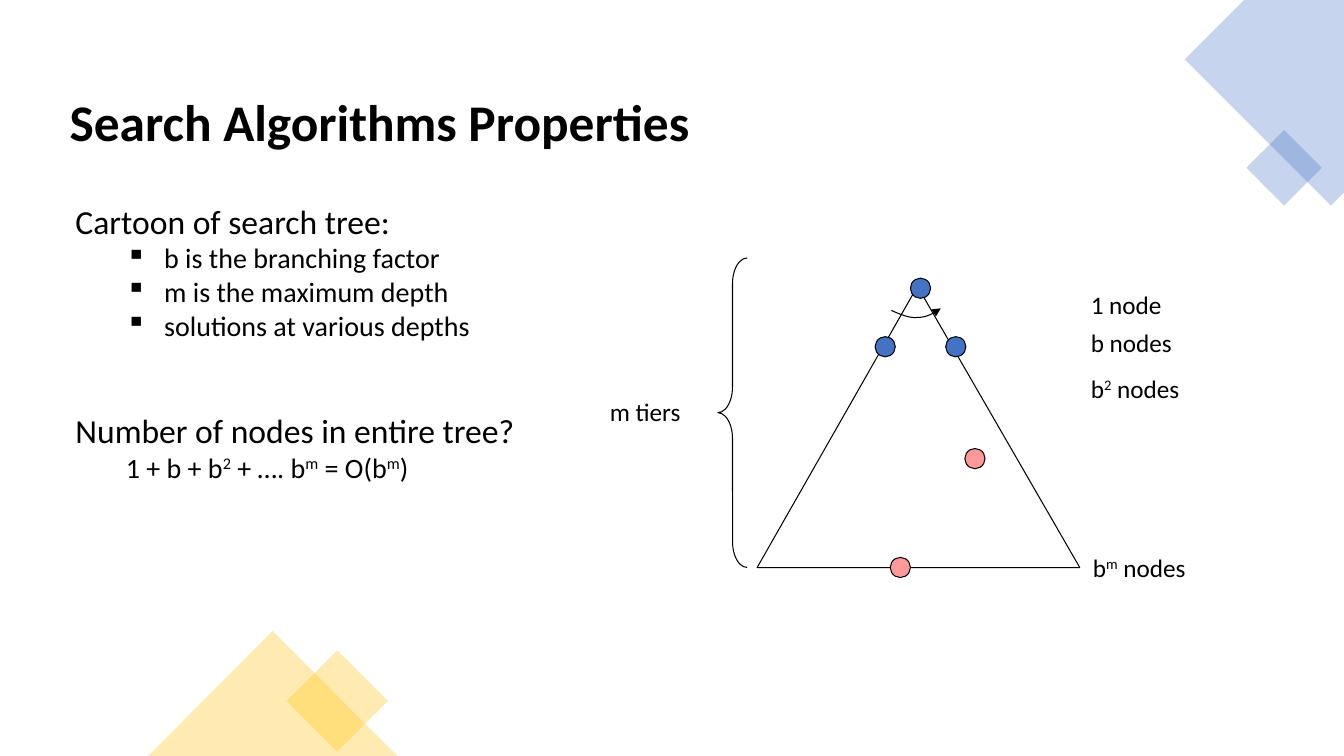
"""Build a slide on search tree properties with a labelled tree diagram."""
from lxml.etree import SubElement
from pptx import Presentation
from pptx.dml.color import RGBColor
from pptx.enum.shapes import MSO_SHAPE
from pptx.enum.text import MSO_ANCHOR, MSO_AUTO_SIZE, PP_ALIGN
from pptx.oxml.ns import qn
from pptx.util import Inches, Pt

BLACK, BLUE, GOLD, PINK = "000000", "4472C4", "FFC000", "FF9999"
FONT = "Calibri"
TITLE = "Search Algorithms Properties"
# Text between carets is superscript: (text, size, left margin, bullet, space before)
BODY = [
    ("Cartoon of search tree:", 24, 0, "", 0),
    ("b is the branching factor", 20, 0.88, "▪", 0),
    ("m is the maximum depth", 20, 0.88, "▪", 0),
    ("solutions at various depths", 20, 0.88, "▪", 0),
    ("Number of nodes in entire tree?", 24, 0, "", 48.8),
    ("1 + b + b^2^ + …. b^m^ = O(b^m^)", 20, 0.5, "", 0),
]
LABELS = [
    ("1 node", 10.72, 2.82, 1.22),
    ("b nodes", 10.72, 3.2, 1.22),
    ("b^2^ nodes", 10.72, 3.65, 1.22),
    ("b^m^ nodes", 10.74, 5.43, 1.6),
    ("m tiers", 5.95, 3.88, 1.38),
]
DECORATIONS = [
    (MSO_SHAPE.RECTANGLE, (12.47, 1.4, 0.53, 0.53), BLUE, 45),
    (MSO_SHAPE.RECTANGLE, (2.99, 6.6, 0.71, 0.71), GOLD, 45),
    (MSO_SHAPE.ISOSCELES_TRIANGLE, (1.47, 6.26, 2.47, 1.24), GOLD, 0),
]
CORNER = [(13.33, 0), (12.34, 0), (11.75, 0.59), (13.2, 2.04), (13.33, 1.91)]
TREE = [(7.51, 5.63), (10.71, 5.63), (9.1, 2.84)]
BRACE = (7.12, 2.56, 0.29, 3.07)
ARC = [
    [(8.84, 3.08), (8.93, 3.12), (9.02, 3.16), (9.1, 3.15)],
    [(9.1, 3.15), (9.19, 3.15), (9.26, 3.11), (9.33, 3.06)],
]
ARC_STEPS = 8
NODE_SIZE = 0.2
NODES = [(9.03, 2.76, BLUE), (9.38, 3.34, BLUE), (8.68, 3.34, BLUE),
         (8.83, 5.53, PINK), (9.57, 4.45, PINK)]


def color(value):
    return RGBColor.from_string(value)


def paint(shape, fill=None, line=None, alpha=None):
    shape.shadow.inherit = False
    if fill:
        shape.fill.solid()
        shape.fill.fore_color.rgb = color(fill)
    else:
        shape.fill.background()
    if alpha:
        color_element = next(shape._element.spPr.iter(qn("a:srgbClr")))
        SubElement(color_element, qn("a:alpha"), val=str(alpha * 1000))
    if line:
        shape.line.color.rgb = color(line)
        shape.line.width = Pt(0.75)
    else:
        shape.line.fill.background()


def add_preset(slide, kind, box, **style):
    shape = slide.shapes.add_shape(kind, *map(Inches, box))
    paint(shape, **style)
    return shape


def add_outline(slide, points, close=True, **style):
    builder = slide.shapes.build_freeform(
        Inches(points[0][0]), Inches(points[0][1]))
    builder.add_line_segments(
        [(Inches(x), Inches(y)) for x, y in points[1:]], close=close)
    shape = builder.convert_to_shape()
    paint(shape, **style)
    return shape


def curve_point(controls, t):
    weights = ((1 - t) ** 3, 3 * t * (1 - t) ** 2, 3 * t * t * (1 - t), t ** 3)
    return tuple(sum(weight * point[axis] for weight, point in zip(weights, controls))
                 for axis in (0, 1))


def write(paragraph, text, size, bold=False):
    for index, part in enumerate(text.split("^")):
        if part:
            run = paragraph.add_run()
            run.text = part
            if index % 2:
                run._r.get_or_add_rPr().set("baseline", "30000")
    paragraph.font.name = FONT
    paragraph.font.size = Pt(size)
    paragraph.font.bold = bold
    paragraph.font.color.rgb = color(BLACK)


def add_text_frame(slide, box):
    frame = slide.shapes.add_textbox(*map(Inches, box)).text_frame
    frame.word_wrap = True
    return frame


def add_title(slide):
    title = slide.shapes.title
    title.left, title.top, title.width, title.height = map(
        Inches, (0.59, 0.84, 11.46, 0.72))
    frame = title.text_frame
    frame.vertical_anchor = MSO_ANCHOR.TOP
    frame.auto_size = MSO_AUTO_SIZE.NONE
    paragraph = frame.paragraphs[0]
    paragraph.alignment = PP_ALIGN.LEFT
    write(paragraph, TITLE, 36.7, bold=True)


def add_body(slide):
    frame = add_text_frame(slide, (0.65, 1.94, 10.84, 2.93))
    for index, (text, size, margin, bullet, space) in enumerate(BODY):
        paragraph = frame.add_paragraph() if index else frame.paragraphs[0]
        properties = paragraph._p.get_or_add_pPr()
        properties.set("marL", str(Inches(margin)))
        if bullet:
            properties.set("indent", str(Inches(-0.38)))
            SubElement(properties, qn("a:buChar"), char=bullet)
        if space:
            paragraph.space_before = Pt(space)
        write(paragraph, text, size)


def add_diagram(slide):
    add_outline(slide, TREE, line=BLACK)
    brace = add_preset(slide, MSO_SHAPE.LEFT_BRACE, BRACE, line=BLACK)
    brace.adjustments[0] = 0.884
    arc_points = [ARC[0][0]] + [curve_point(controls, step / ARC_STEPS)
                                for controls in ARC
                                for step in range(1, ARC_STEPS + 1)]
    arc = add_outline(slide, arc_points, close=False, line=BLACK)
    SubElement(arc.line._get_or_add_ln(), qn("a:tailEnd"), type="triangle")
    for left, top, fill in NODES:
        add_preset(slide, MSO_SHAPE.OVAL, (left, top, NODE_SIZE, NODE_SIZE),
                   fill=fill, line=BLACK)
    for text, left, top, width in LABELS:
        frame = add_text_frame(slide, (left, top, width, 0.4))
        write(frame.paragraphs[0], text, 18)


def main():
    presentation = Presentation()
    presentation.slide_width, presentation.slide_height = Inches(13.33), Inches(7.5)
    slide = presentation.slides.add_slide(presentation.slide_layouts[5])
    add_outline(slide, CORNER, fill=BLUE, alpha=30)
    for kind, box, fill, rotation in DECORATIONS:
        add_preset(slide, kind, box, fill=fill, alpha=30).rotation = rotation
    add_title(slide)
    add_body(slide)
    add_diagram(slide)
    presentation.save("out.pptx")


if __name__ == "__main__":
    main()
